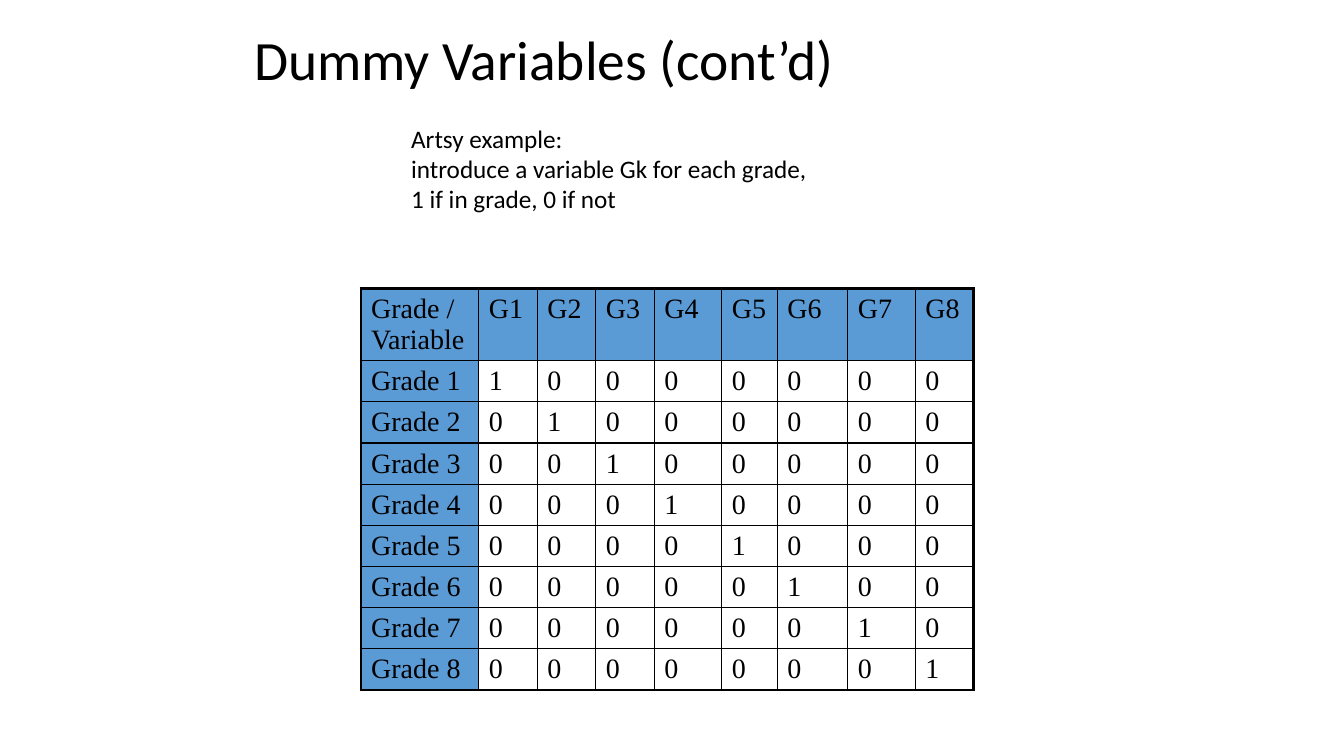
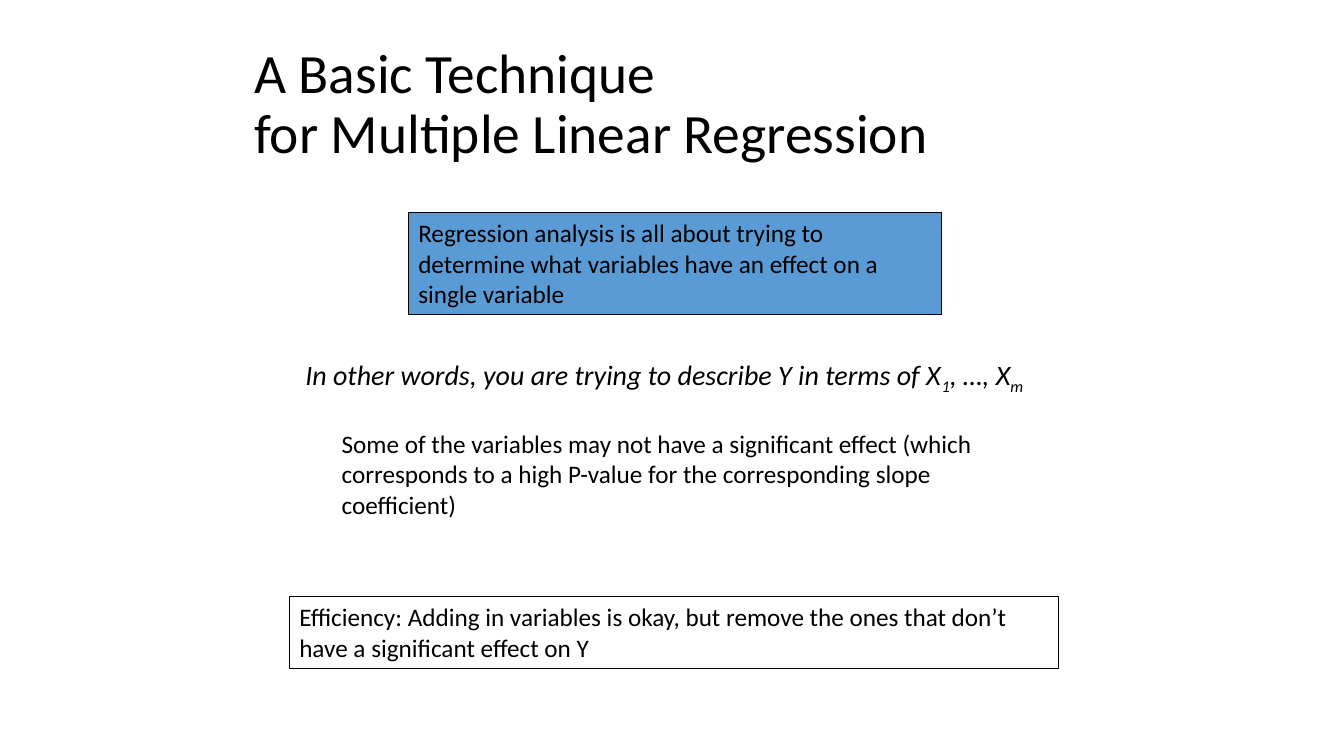
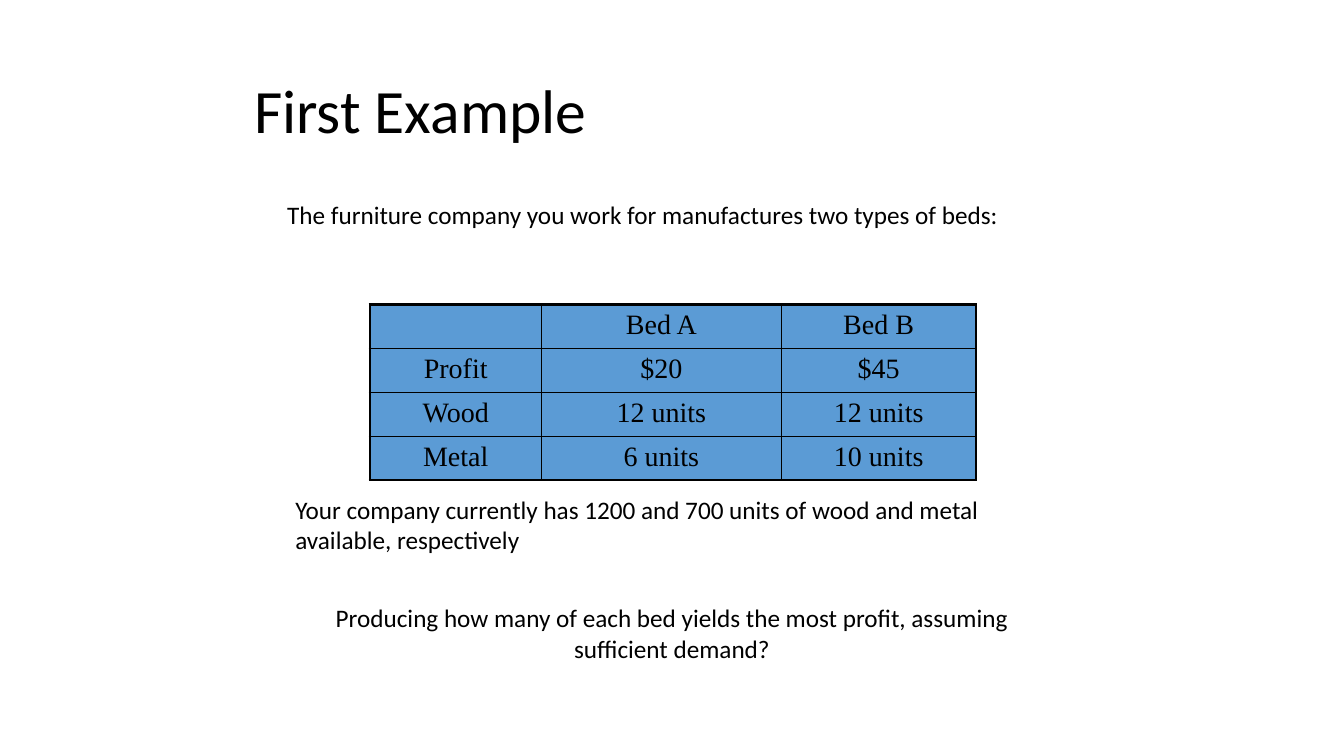
from collections import namedtuple
from dataclasses import dataclass

from lxml.etree import SubElement
from pptx import Presentation
from pptx.dml.color import RGBColor
from pptx.enum.shapes import MSO_SHAPE
from pptx.enum.text import MSO_ANCHOR, MSO_AUTO_SIZE, PP_ALIGN
from pptx.oxml.ns import qn
from pptx.util import Pt

PX = 9144  # EMU in one px, 100 px to the inch
Box = namedtuple("Box", "left top width height")


@dataclass(frozen=True)
class Theme:
    ink: RGBColor = RGBColor(0x00, 0x00, 0x00)
    accent: RGBColor = RGBColor(0x5B, 0x9B, 0xD5)
    text_font: str = "Calibri"
    table_font: str = "Times New Roman"
    title_size: float = 39.6
    large_title_size: float = 44
    body_size: float = 18
    emphasis_size: float = 20
    table_size: float = 20
    outline: float = 0.75
    inner_border: float = 1
    outer_border: float = 2.25


THEME = Theme()


# Shared helpers
def emu(box):
    return [round(length * PX) for length in box]


def style(paragraph, size, font=THEME.text_font, align=PP_ALIGN.LEFT, italic=None):
    paragraph.alignment = align
    for run in paragraph.runs:
        run.font.name = font
        run.font.size = Pt(size)
        run.font.color.rgb = THEME.ink
        run.font.italic = italic


def paint(fill, colour):
    if colour is None:
        fill.background()
    else:
        fill.solid()
        fill.fore_color.rgb = colour


def titled_slide(deck, text, box, size=THEME.title_size):
    slide = deck.slides.add_slide(deck.slide_layouts.get_by_name("Title Only"))
    title = slide.shapes.title
    title.left, title.top, title.width, title.height = emu(box)
    frame = title.text_frame
    frame.text = text
    frame.auto_size = MSO_AUTO_SIZE.NONE
    frame.vertical_anchor = MSO_ANCHOR.MIDDLE
    heading = frame.paragraphs[0]
    heading.line_spacing = 0.9
    style(heading, size)
    for line_break in heading._p.findall(qn("a:br")):
        SubElement(line_break, qn("a:rPr"), sz=str(round(size * 100)))
    return slide


def fill_text(frame, text, wrap, **look):
    frame.text = text
    frame.word_wrap = wrap
    frame.vertical_anchor = MSO_ANCHOR.TOP
    for paragraph in frame.paragraphs:
        style(paragraph, THEME.body_size, **look)


def note(slide, text, box, wrap=True, **look):
    fill_text(slide.shapes.add_textbox(*emu(box)).text_frame, text, wrap, **look)


def framed_note(slide, text, box, colour=None):
    panel = slide.shapes.add_shape(MSO_SHAPE.RECTANGLE, *emu(box))
    panel.shadow.inherit = False
    paint(panel.fill, colour)
    panel.line.color.rgb = THEME.ink
    panel.line.width = Pt(THEME.outline)
    fill_text(panel.text_frame, text, True)


def subscripted_line(slide, parts, box):
    """parts alternates normal text and subscripts."""
    frame = slide.shapes.add_textbox(*emu(box)).text_frame
    frame.word_wrap = False
    sentence = frame.paragraphs[0]
    for index, part in enumerate(parts):
        run = sentence.add_run()
        run.text = part
        if index % 2:
            run.font._element.set("baseline", "-25000")
    style(sentence, THEME.emphasis_size, italic=True)


# Tables: thick frame, thin inner lines
def border_cell(cell, thick_sides):
    properties = cell._tc.get_or_add_tcPr()
    for side in "LRTB":
        points = THEME.outer_border if side in thick_sides else THEME.inner_border
        line = SubElement(properties, qn(f"a:ln{side}"), w=str(Pt(points)))
        solid = SubElement(line, qn("a:solidFill"))
        SubElement(solid, qn("a:srgbClr"), val=str(THEME.ink))


def grid_table(slide, rows, box, column_widths, header_height, is_shaded, align):
    last_row, last_column = len(rows) - 1, len(column_widths) - 1
    table = slide.shapes.add_table(len(rows), len(column_widths), *emu(box)).table
    table.first_row = table.horz_banding = False
    for column, width in zip(table.columns, column_widths):
        column.width = width * PX
    body_height = (box.height - header_height) / last_row
    for r, values in enumerate(rows):
        table.rows[r].height = round((body_height if r else header_height) * PX)
        for c, value in enumerate(values):
            cell = table.cell(r, c)
            cell.text = value
            style(cell.text_frame.paragraphs[0], THEME.table_size, THEME.table_font, align)
            edges = {"L": c == 0, "R": c == last_column, "T": r == 0, "B": r == last_row}
            border_cell(cell, [side for side, outer in edges.items() if outer])
            paint(cell.fill, THEME.accent if is_shaded(r, c) else None)


# Slides
def dummy_variables(deck):
    slide = titled_slide(deck, "Dummy Variables (cont’d)", Box(242, 25, 850, 75))
    grades = range(1, 9)
    rows = [["Grade / Variable"] + [f"G{k}" for k in grades]]
    rows += [[f"Grade {g}"] + [str(int(g == k)) for k in grades] for g in grades]
    grid_table(slide, rows, Box(358, 286, 608, 398),
               [117, 58, 58, 58, 67, 55, 70, 67, 58], header_height=71,
               is_shaded=lambda r, c: r == 0 or c == 0, align=PP_ALIGN.LEFT)
    note(slide, "Artsy example:\nintroduce a variable Gk for each grade,\n"
         "1 if in grade, 0 if not", Box(398, 117, 417, 101), wrap=False)


def regression_technique(deck):
    slide = titled_slide(deck, "A Basic Technique\vfor Multiple Linear Regression",
                         Box(242, 42, 850, 125))
    note(slide, "Some of the variables may not have a significant effect (which corresponds "
         "to a high P-value for the corresponding slope coefficient)",
         Box(329, 420, 679, 101))
    framed_note(slide, "Efficiency: Adding in variables is okay, but remove the ones that "
                "don’t have a significant effect on Y", Box(287, 592, 763, 71))
    framed_note(slide, "Regression analysis is all about trying to determine what variables "
                "have an effect on a single variable", Box(405, 211, 529, 101), THEME.accent)
    subscripted_line(slide, ["In other words, you are trying to describe Y in terms of X",
                             "1", ", …, X", "m"], Box(293, 350, 747, 43))


def first_example(deck):
    slide = titled_slide(deck, "First Example", Box(242, 67, 850, 92),
                         THEME.large_title_size)
    note(slide, "The furniture company you work for manufactures two types of beds:",
         Box(275, 193, 792, 40))
    note(slide, "Your company currently has 1200 and 700 units of wood and metal available, "
         "respectively", Box(283, 485, 769, 71))
    note(slide, "Producing how many of each bed yields the most profit, assuming sufficient "
         "demand?", Box(308, 593, 717, 71), align=PP_ALIGN.CENTER)
    beds = [["", "Bed A", "Bed B"],
            ["Profit", "$20", "$45"],
            ["Wood", "12 units", "12 units"],
            ["Metal", "6 units", "10 units"]]
    grid_table(slide, beds, Box(367, 302, 601, 174), [170, 238, 193], header_height=44,
               is_shaded=lambda r, c: True, align=PP_ALIGN.CENTER)


def main():
    deck = Presentation()
    deck.slide_width, deck.slide_height = 1333 * PX, 750 * PX
    for build in (dummy_variables, regression_technique, first_example):
        build(deck)
    deck.save("out.pptx")


if __name__ == "__main__":
    main()
